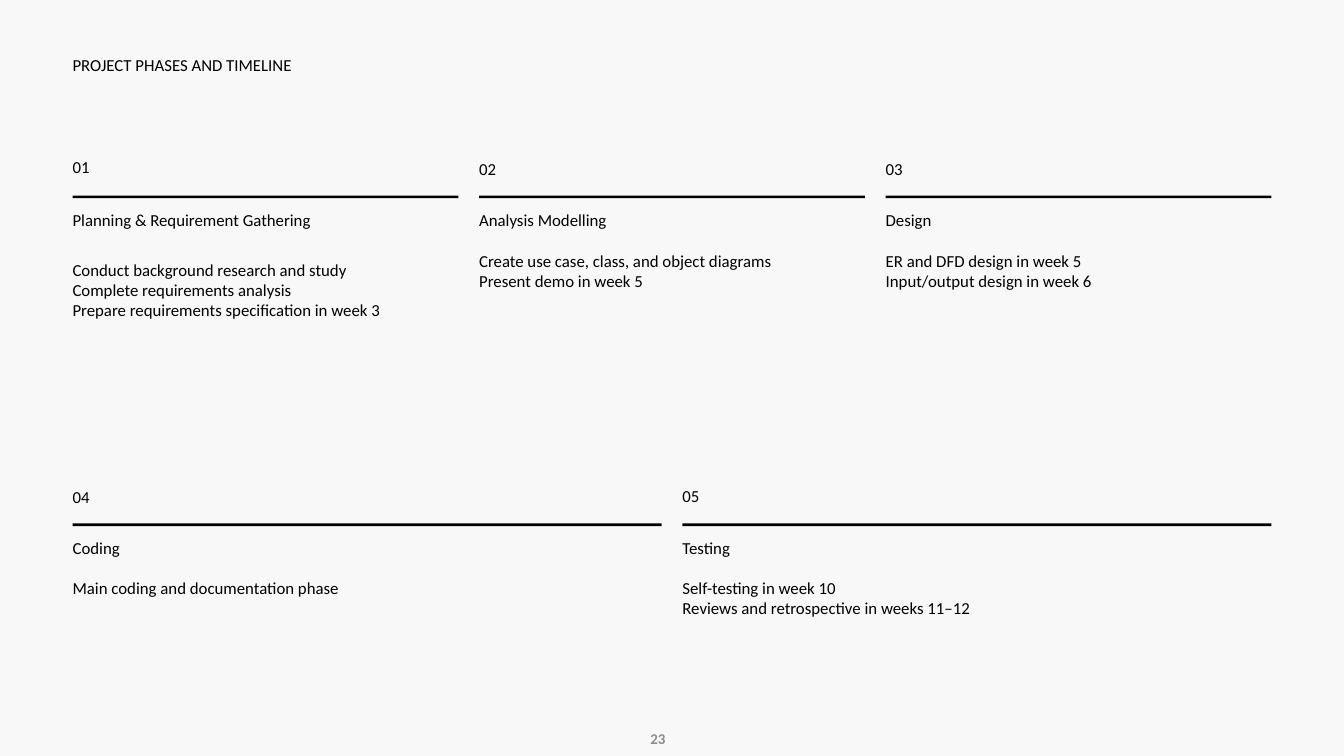
"""Build the project phases and timeline slide."""
from pptx import Presentation
from pptx.dml.color import RGBColor
from pptx.enum.shapes import MSO_SHAPE
from pptx.enum.text import MSO_ANCHOR, PP_ALIGN
from pptx.util import Inches, Pt

RECTANGLE = MSO_SHAPE.RECTANGLE
TOP, MIDDLE = MSO_ANCHOR.TOP, MSO_ANCHOR.MIDDLE
LEFT, RIGHT = PP_ALIGN.LEFT, PP_ALIGN.RIGHT

FONT = "Calibri"
BLACK, GREY, PAPER = "000000", "8C8C8C", "F8F8F8"
MARGIN, CONTENT_WIDTH, GAP = 1.08, 17.84, 0.31
RULE_HEIGHT, TITLE_OFFSET = 0.04, 0.21

TITLE = "PROJECT PHASES AND TIMELINE"
PAGE_NUMBER = "23"
# Each phase: number, name, tasks, number top, tasks top, tasks height
ROWS = [
    (2.91, [
        ("01", "Planning & Requirement Gathering",
         ["Conduct background research and study",
          "Complete requirements analysis",
          "Prepare requirements specification in week 3"], 2.33, 3.86, 2.96),
        ("02", "Analysis Modelling",
         ["Create use case, class, and object diagrams",
          "Present demo in week 5"], 2.36, 3.73, 1.75),
        ("03", "Design",
         ["ER and DFD design in week 5",
          "Input/output design in week 6"], 2.36, 3.73, 1.14),
    ]),
    (7.79, [
        ("04", "Coding",
         ["Main coding and documentation phase"], 7.24, 8.6, 0.4),
        ("05", "Testing",
         ["Self-testing in week 10",
          "Reviews and retrospective in weeks 11–12"], 7.23, 8.6, 1.14),
    ]),
]


def color(value):
    return RGBColor.from_string(value)


def add_text(page, lines, left, top, width, height, size=18, ink=BLACK,
             bold=False, align=LEFT, anchor=TOP, inset=0):
    box = page.shapes.add_textbox(
        Inches(left), Inches(top), Inches(width), Inches(height))
    frame = box.text_frame
    frame.word_wrap = True
    frame.vertical_anchor = anchor
    frame.margin_left = frame.margin_right = Inches(inset)
    frame.margin_top = frame.margin_bottom = Inches(inset / 2)
    for index, line in enumerate(lines):
        para = frame.add_paragraph() if index else frame.paragraphs[0]
        para.alignment = align
        span = para.add_run()
        span.text = line
        span.font.name = FONT
        span.font.size = Pt(size)
        span.font.bold = bold
        span.font.color.rgb = color(ink)


def add_rule(page, left, top, width):
    rule = page.shapes.add_shape(
        RECTANGLE, Inches(left), Inches(top), Inches(width), Inches(RULE_HEIGHT))
    rule.shadow.inherit = False
    rule.fill.solid()
    rule.fill.fore_color.rgb = color(BLACK)
    rule.line.fill.background()


def add_row(page, rule_top, phases):
    width = (CONTENT_WIDTH - GAP * (len(phases) - 1)) / len(phases)
    for column, phase in enumerate(phases):
        number, name, tasks, number_top, tasks_top, tasks_height = phase
        left = MARGIN + column * (width + GAP)
        add_text(page, [number], left, number_top, 0.31, 0.37)
        add_rule(page, left, rule_top, width)
        add_text(page, [name], left, rule_top + TITLE_OFFSET, width, 0.45)
        add_text(page, tasks, left, tasks_top, width, tasks_height)


def main():
    deck = Presentation()
    deck.slide_width, deck.slide_height = Inches(20), Inches(11.25)
    page = deck.slides.add_slide(deck.slide_layouts[6])
    page.background.fill.solid()
    page.background.fill.fore_color.rgb = color(PAPER)
    add_text(page, [TITLE], MARGIN, 0.82, 9.18, 0.79)
    for rule_top, phases in ROWS:
        add_row(page, rule_top, phases)
    add_text(page, [PAGE_NUMBER], 7.67, 10.79, 2.33, 0.4, size=16, ink=GREY,
             bold=True, align=RIGHT, anchor=MIDDLE, inset=0.1)
    deck.save("out.pptx")


if __name__ == "__main__":
    main()
